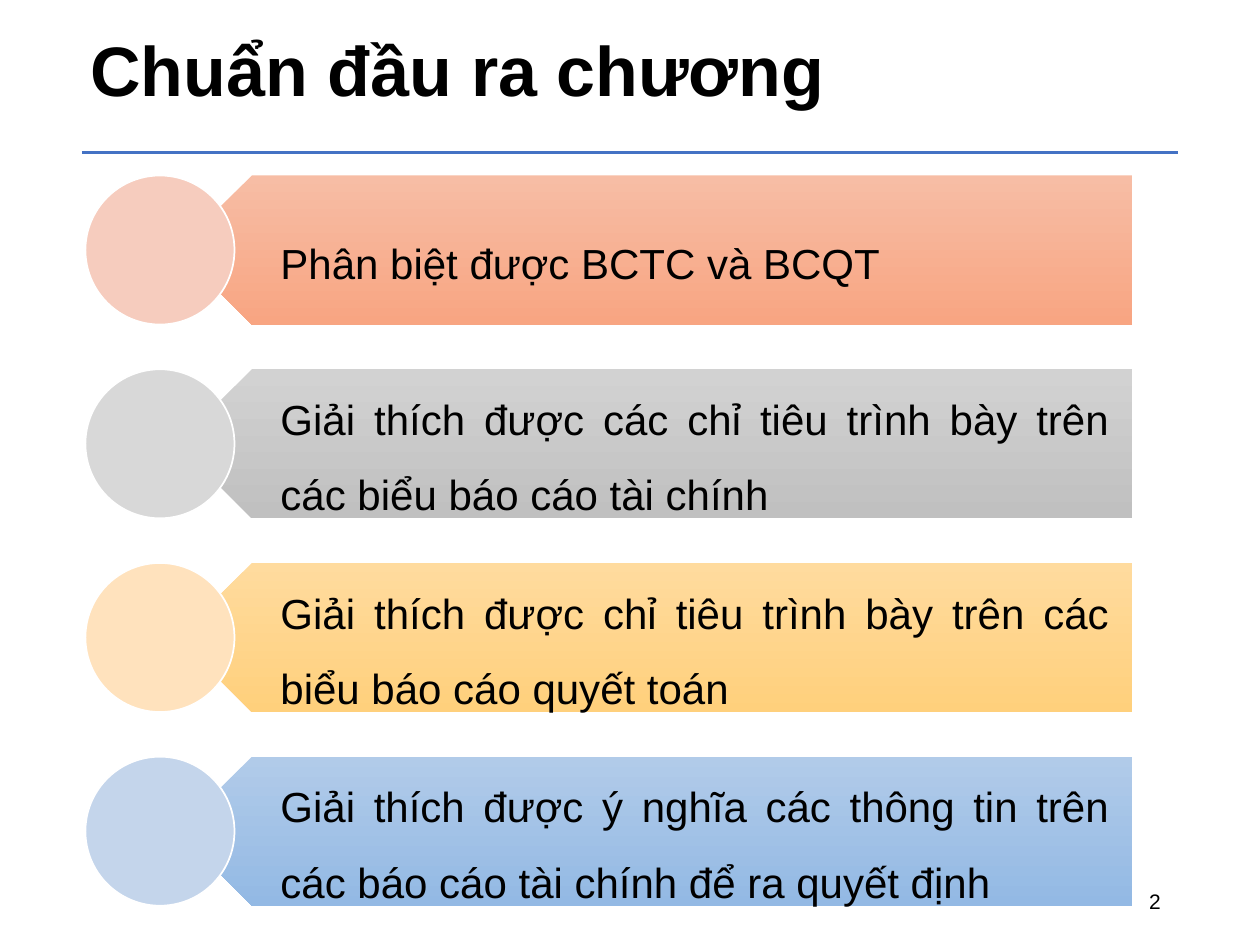
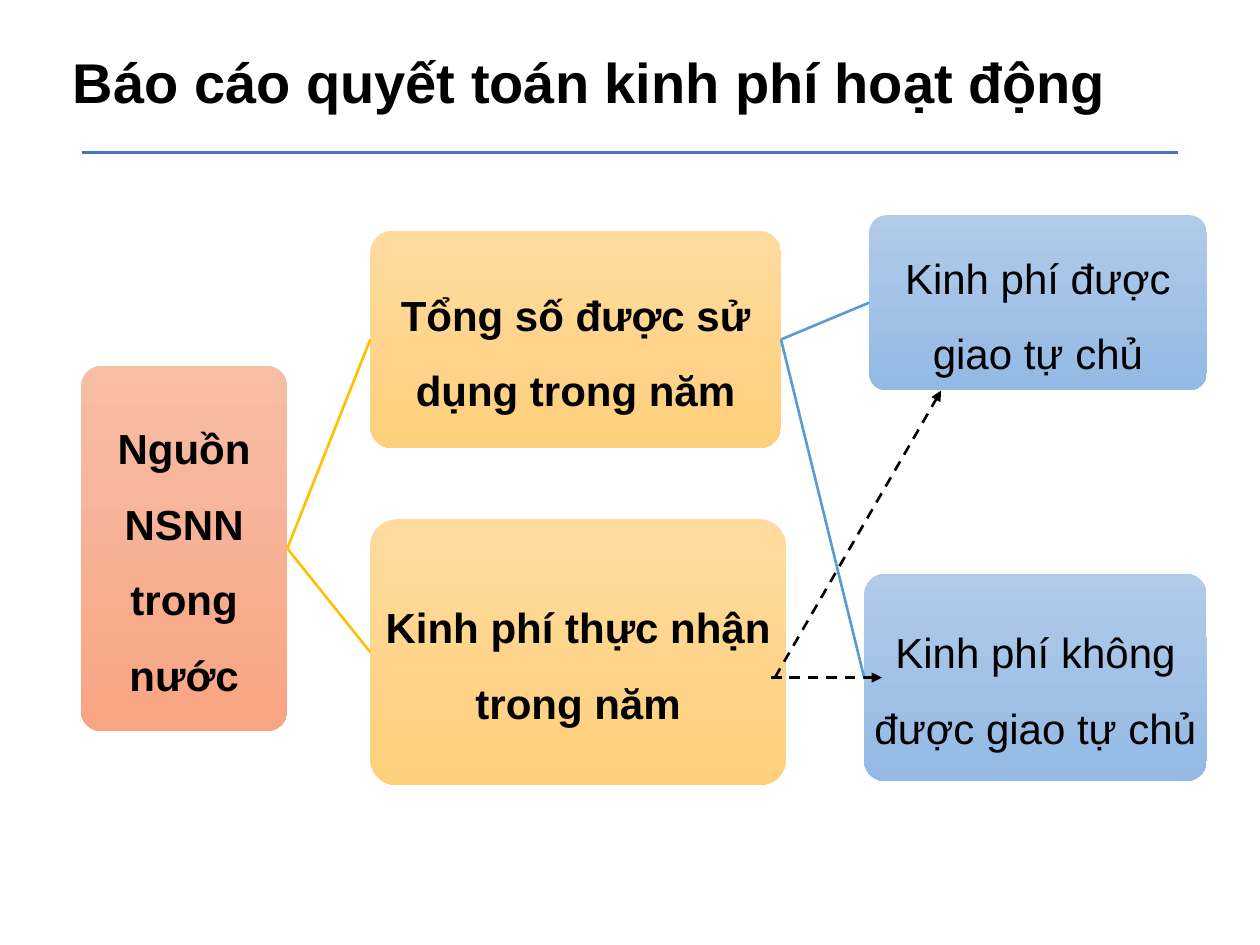
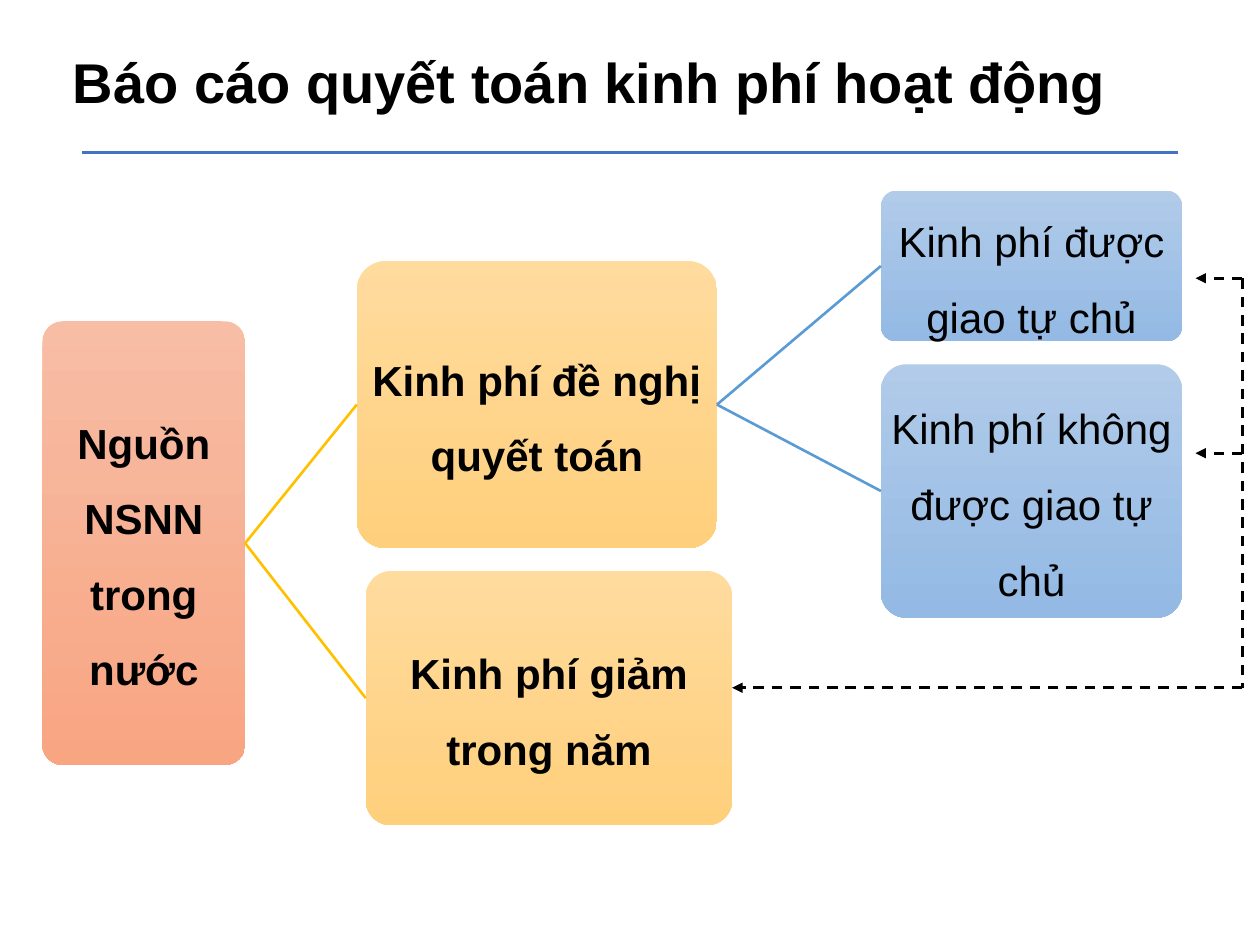
from pptx import Presentation
from pptx.dml.color import RGBColor
from pptx.enum.dml import MSO_LINE
from pptx.enum.shapes import MSO_CONNECTOR, MSO_SHAPE
from pptx.enum.text import MSO_ANCHOR, PP_ALIGN
from pptx.oxml.ns import qn
from pptx.util import Pt
from lxml import etree

FONT = "Arial"
BLACK = RGBColor(0x00, 0x00, 0x00)
WHITE = RGBColor(0xFF, 0xFF, 0xFF)
RULE_BLUE = RGBColor(0x44, 0x72, 0xC4)
GOLD = RGBColor(0xFF, 0xC0, 0x00)
SKY = RGBColor(0x5B, 0x9B, 0xD5)
# Top and bottom colour of each gradient
ORANGE_FADE = RGBColor(0xF7, 0xBD, 0xA5), RGBColor(0xF8, 0xA5, 0x82)
GREY_FADE = RGBColor(0xD2, 0xD2, 0xD2), RGBColor(0xC0, 0xC0, 0xC0)
YELLOW_FADE = RGBColor(0xFF, 0xDB, 0x9E), RGBColor(0xFF, 0xD0, 0x7C)
BLUE_FADE = RGBColor(0xB1, 0xCB, 0xE9), RGBColor(0x93, 0xB9, 0xE4)
PALE_ORANGE = RGBColor(0xF6, 0xCC, 0xBE)
PALE_GREY = RGBColor(0xD8, 0xD8, 0xD8)
PALE_YELLOW = RGBColor(0xFF, 0xE2, 0xBD)
PALE_BLUE = RGBColor(0xC4, 0xD5, 0xEB)


def add_text(slide, text, box, shape=None, fade=None, size=24, bold=False,
             align=PP_ALIGN.CENTER, anchor=MSO_ANCHOR.MIDDLE,
             insets=(7.2, 3.6, 7.2, 3.6), spacing=None, after=None):
    """Add a text box, or a gradient-filled preset shape, holding one paragraph."""
    box = [Pt(v) for v in box]
    if shape is None:
        s = slide.shapes.add_textbox(*box)
    else:
        s = slide.shapes.add_shape(shape, *box)
        s.shadow.inherit = False
        s.line.fill.background()
        s.fill.gradient()
        s.fill.gradient_angle = 270
        for stop, color in zip(s.fill.gradient_stops, fade):
            stop.color.rgb = color
    tf = s.text_frame
    tf.word_wrap = True
    tf.vertical_anchor = anchor
    tf.margin_left, tf.margin_top, tf.margin_right, tf.margin_bottom = map(Pt, insets)
    p = tf.paragraphs[0]
    p.alignment = align
    if spacing:
        p.line_spacing = spacing
    if after:
        p.space_after = Pt(after)
    r = p.add_run()
    r.text = text
    r.font.name = FONT
    r.font.size = Pt(size)
    r.font.bold = bold
    r.font.color.rgb = BLACK
    return s


def add_line(slide, color, x1=0, y1=0, x2=0, y2=0, dashed=False, arrow=False):
    c = slide.shapes.add_connector(MSO_CONNECTOR.STRAIGHT, Pt(x1), Pt(y1), Pt(x2), Pt(y2))
    c.line.color.rgb = color
    c.line.width = Pt(1.5)
    if dashed:
        c.line.dash_style = MSO_LINE.DASH
    if arrow:
        etree.SubElement(c.line._get_or_add_ln(), qn("a:tailEnd"), type="triangle")
    etree.SubElement(c._element.spPr, qn("a:effectLst"))
    return c


prs = Presentation()
prs.slide_width, prs.slide_height = Pt(720), Pt(540)

# Titles and the rule below them
REPORT_TITLE = "Báo cáo quyết toán kinh phí hoạt động"
titles = [
    ("Chuẩn đầu ra chương", (36, 11.5, 450.7, 55.4), 40, PP_ALIGN.CENTER),
    (REPORT_TITLE, (34.6, 23.8, 622.8, 46.1), 32, PP_ALIGN.JUSTIFY),
    (REPORT_TITLE, (34.6, 23.8, 622.8, 46.1), 32, PP_ALIGN.JUSTIFY),
]
slides = []
for title, box, size, align in titles:
    slide = prs.slides.add_slide(prs.slide_layouts[6])
    add_line(slide, RULE_BLUE, 46.8, 87, 673.2, 87)
    add_text(slide, title, box, size=size, bold=True, align=align, anchor=MSO_ANCHOR.TOP)
    slides.append(slide)

# Slide 1: learning outcomes
outcomes_slide = slides[0]
add_text(outcomes_slide, "2", (508.3, 500.4, 162, 28.8), size=12, align=PP_ALIGN.RIGHT)
outcomes = [
    ("Phân biệt được BCTC và BCQT", ORANGE_FADE, PALE_ORANGE),
    ("Giải thích được các chỉ tiêu trình bày trên các biểu báo cáo tài chính",
     GREY_FADE, PALE_GREY),
    ("Giải thích được chỉ tiêu trình bày trên các biểu báo cáo quyết toán",
     YELLOW_FADE, PALE_YELLOW),
    ("Giải thích được ý nghĩa các thông tin trên các báo cáo tài chính để ra quyết định",
     BLUE_FADE, PALE_BLUE),
]
BAND_TOP, BAND_PITCH, BAND_HEIGHT = 100.3, 110.7, 85.2
for i, (text, fade, pale) in enumerate(outcomes):
    top = BAND_TOP + i * BAND_PITCH
    band = add_text(outcomes_slide, text, (101.4, top, 545.8, BAND_HEIGHT),
                    shape=MSO_SHAPE.PENTAGON, fade=fade, align=PP_ALIGN.JUSTIFY,
                    insets=(37.6, 7.2, 13.4, 7.2), spacing=1.5)
    band._element.spPr.xfrm.set("flipH", "1")
    disc = outcomes_slide.shapes.add_shape(
        MSO_SHAPE.OVAL, Pt(48.8), Pt(top), Pt(BAND_HEIGHT), Pt(BAND_HEIGHT))
    disc.shadow.inherit = False
    disc.fill.solid()
    disc.fill.fore_color.rgb = pale
    disc.line.color.rgb = WHITE
    disc.line.width = Pt(1)

# Slides 2 and 3: funding trees, in the order root, two branches, two leaves
SOURCE = "Nguồn NSNN trong nước"
AUTONOMOUS = "Kinh phí được giao tự chủ"
NOT_AUTONOMOUS = "Kinh phí không được giao tự chủ"
node_styles = [(ORANGE_FADE, True), (YELLOW_FADE, True), (YELLOW_FADE, True),
               (BLUE_FADE, False), (BLUE_FADE, False)]
tree_links = [(0, 1, GOLD), (0, 2, GOLD), (1, 3, SKY), (1, 4, SKY)]
trees = [
    ([(SOURCE, (46.2, 209, 118, 208.8)),
      ("Tổng số được sử dụng trong năm", (211.6, 131.9, 234.7, 124.2)),
      ("Kinh phí thực nhận trong năm", (211.6, 296.7, 237.6, 151.9)),
      (AUTONOMOUS, (496.6, 123, 193, 100)),
      (NOT_AUTONOMOUS, (493.8, 327.8, 195.8, 118.6))],
     [(440.6, 387.2, 504, 387.2, True),
      (442.8, 387.2, 537.8, 223.2, True)]),
    ([(SOURCE, (24.2, 183.6, 115.9, 253.6)),
      ("Kinh phí đề nghị quyết toán", (203.9, 149.2, 205.8, 164)),
      ("Kinh phí giảm trong năm", (209, 326.3, 209.4, 145.3)),
      (AUTONOMOUS, (503.4, 109, 172.1, 86)),
      (NOT_AUTONOMOUS, (503.4, 208.2, 172.1, 144.8))],
     [(710, 159, 710, 393, False),
      (710, 159, 683.2, 159, True),
      (710, 259, 683.2, 259, True),
      (710, 393, 418.4, 393, True)]),
]
for slide, (nodes, dashed_lines) in zip(slides[1:], trees):
    boxes = []
    for (text, box), (fade, bold) in zip(nodes, node_styles):
        s = add_text(slide, text, box, shape=MSO_SHAPE.ROUNDED_RECTANGLE, fade=fade,
                     bold=bold, insets=(1.2,) * 4, spacing=1.5, after=8.4)
        s.adjustments[0] = 0.1
        boxes.append(s)
    for start, end, color in tree_links:
        link = add_line(slide, color)
        link.begin_connect(boxes[start], 3)
        link.end_connect(boxes[end], 1)
    for x1, y1, x2, y2, arrow in dashed_lines:
        add_line(slide, BLACK, x1, y1, x2, y2, dashed=True, arrow=arrow)

prs.save("out.pptx")
